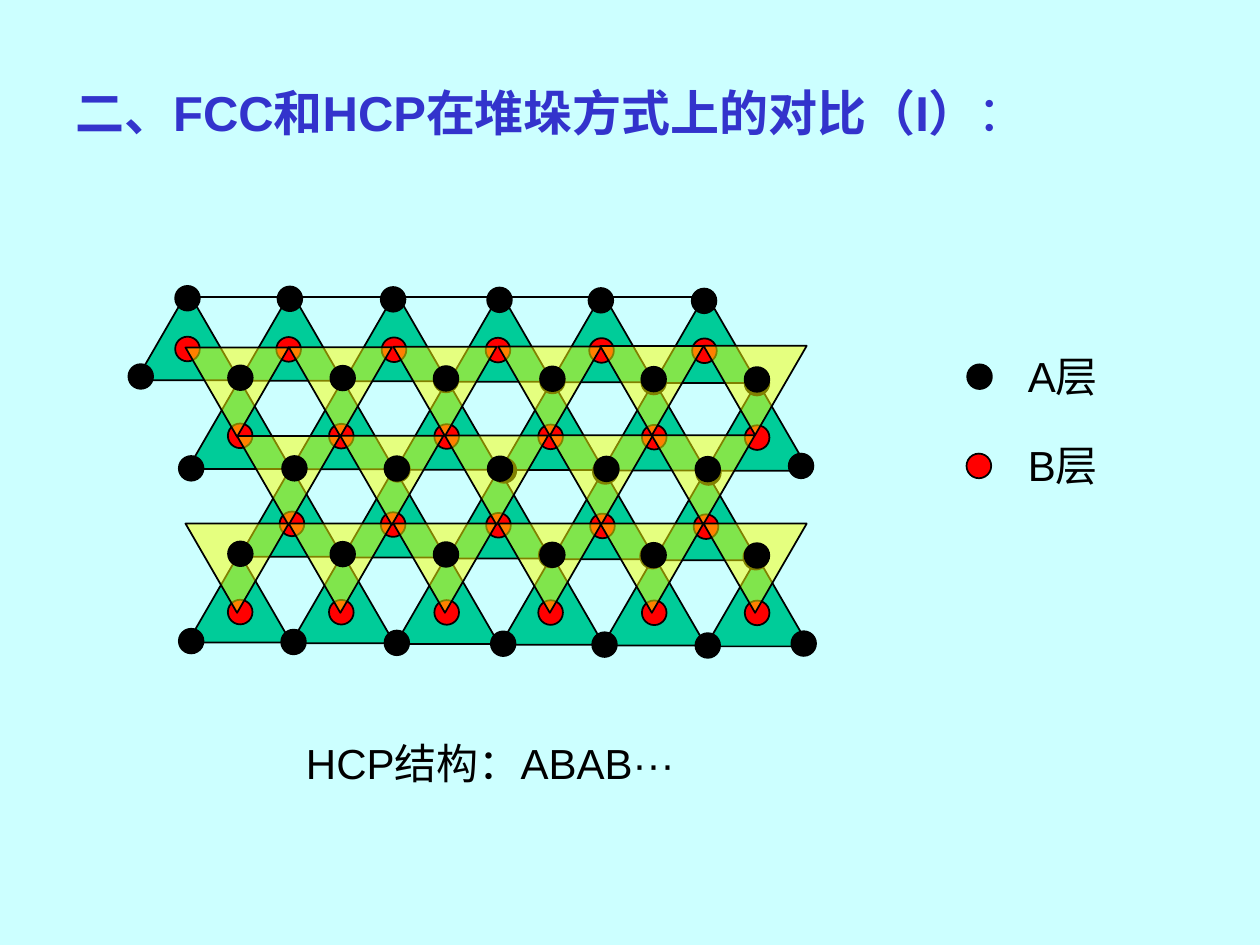
from pptx import Presentation
from pptx.dml.color import RGBColor
from pptx.enum import shapes, text
from pptx.oxml import parse_xml
from pptx.oxml.ns import nsdecls, qn
from pptx.util import Pt

BACKGROUND = RGBColor(0xCC, 0xFF, 0xFF)
BLACK = RGBColor(0, 0, 0)
RED = RGBColor(0xFF, 0, 0)
GREEN = RGBColor(0, 0xCC, 0x99)
YELLOW = RGBColor(0xFF, 0xFF, 0)
TITLE_BLUE = RGBColor(0x33, 0x33, 0xCC)

ATOM = 14.1
TRIANGLE_W, TRIANGLE_H = 59, 51

# Distance of each column from the left end of its row
TRIANGLE_COLUMNS = [0, 59, 118.8, 178.7, 237, 296]
A_COLUMNS = [0, 58.5, 117.5, 178.3, 236.2, 295.2]
B_COLUMNS = [0, 57.8, 118, 177.4, 236.6, 295.4]

# Each row: left, top, first column, end column, fall from one column to the next
GREEN_ROWS = [(77.8, 166.3, 0, 6, 0.3), (107.3, 217, 0, 6, 0.2),
              (136.8, 267.1, 0, 5, 0.5), (107.3, 316.1, 0, 6, 0.45)]
LOWER_A_ROWS = [(100.1, 163.4, 0, 6, 0.3), (73.4, 208.1, 0, 1, 0),
                (130.3, 208.9, 2, 6, 0.6), (102.2, 260.6, 0, 1, 0),
                (102.6, 260, 2, 6, 0.6), (450.7, 259.2, 0, 1, 0),
                (129.6, 308.4, 3, 6, 0.6),
                (102.2, 359.3, 0, 6, 0.5), (452.2, 360.7, 0, 1, 0)]
B_ROWS = [(100.1, 192.4, 0, 6, 0.2), (130.2, 242, 0, 6, 0.2),
          (159.8, 292.3, 0, 5, 0.4), (130.2, 342.7, 0, 6, 0.1)]
YELLOW_ROWS = [(106, 198.6, 0, 6, -0.2), (135.4, 249.1, 0, 5, -0.1),
               (106, 299.2, 0, 6, 0)]
UPPER_A_ROWS = [(130.3, 208.8, 0, 6, 0.2), (161.2, 260.6, 0, 5, 0.1),
                (130.3, 309.4, 0, 6, 0.2)]


def add_outlined(slide, kind, left, top, width, height, color):
    """Add a filled preset shape with a thin black outline."""
    shape = slide.shapes.add_shape(kind, Pt(left), Pt(top), Pt(width), Pt(height))
    shape.shadow.inherit = False
    shape.fill.solid()
    shape.fill.fore_color.rgb = color
    shape.line.color.rgb = BLACK
    shape.line.width = Pt(1)
    return shape


def add_atom(slide, left, top, color):
    """Add one round atom."""
    add_outlined(slide, shapes.MSO_SHAPE.OVAL, left, top, ATOM, ATOM, color)


def add_upright(slide, left, top, color):
    """Add one triangle that points up."""
    return add_outlined(slide, shapes.MSO_SHAPE.ISOSCELES_TRIANGLE,
                        left, top, TRIANGLE_W, TRIANGLE_H, color)


def add_inverted(slide, left, top, color):
    """Add one half-transparent triangle that points down."""
    triangle = add_upright(slide, left, top, color)
    properties = triangle._element.spPr
    properties.find(qn("a:xfrm")).set("flipV", "1")
    fill_color = properties.find(qn("a:solidFill"))[0]
    fill_color.append(parse_xml(f'<a:alpha {nsdecls("a")} val="50000"/>'))


def add_layer(slide, add_item, columns, rows, color):
    """Repeat an item along every row of a layer."""
    for left, top, first, end, fall in rows:
        for column in range(first, end):
            add_item(slide, left + columns[column], top + column * fall, color)


def add_top_edge(slide):
    """Add the line that joins the top row of atoms."""
    edge = slide.shapes.add_connector(shapes.MSO_CONNECTOR.STRAIGHT,
                                      Pt(106), Pt(169.8), Pt(400.5), Pt(169.8))
    edge.line.color.rgb = BLACK
    edge.line.width = Pt(1)
    edge._element.spPr.append(parse_xml(f'<a:effectLst {nsdecls("a")}/>'))


def add_text(slide, left, top, width, height, runs, size=24, color=BLACK):
    """Add a wrapped Arial paragraph of runs and return it."""
    frame = slide.shapes.add_textbox(Pt(left), Pt(top), Pt(width), Pt(height)).text_frame
    frame.word_wrap = True
    paragraph = frame.paragraphs[0]
    paragraph.font.name = "Arial"
    paragraph.font.size = Pt(size)
    paragraph.font.color.rgb = color
    for words, bold in runs:
        run = paragraph.add_run()
        run.text = words
        run.font.bold = bold
    return paragraph


def add_legend_entry(slide, left, top, color, label):
    """Add an atom with the name of its layer."""
    add_atom(slide, left, top, color)
    add_text(slide, 580.3, top - 11.6, 84.2, 36, [(label, False)])


def main():
    """Build the slide on the stacking of HCP layers."""
    deck = Presentation()
    deck.slide_width, deck.slide_height = Pt(720), Pt(540)
    slide = deck.slides.add_slide(deck.slide_layouts[6])
    slide.background.fill.solid()
    slide.background.fill.fore_color.rgb = BACKGROUND

    caption = add_text(slide, 166.1, 418, 228.2, 36, [("HCP结构：ABAB···", False)])
    caption.alignment = text.PP_ALIGN.CENTER
    title = add_text(slide, 36, 30.2, 635.8, 66.2,
                     [("二、FCC和HCP在堆垛方式上的对比（I）", True), ("：", False)],
                     28, TITLE_BLUE)
    title.line_spacing = 1.4

    add_layer(slide, add_upright, TRIANGLE_COLUMNS, GREEN_ROWS, GREEN)
    add_layer(slide, add_atom, A_COLUMNS, LOWER_A_ROWS, BLACK)
    add_layer(slide, add_atom, B_COLUMNS, B_ROWS, RED)
    add_layer(slide, add_inverted, TRIANGLE_COLUMNS, YELLOW_ROWS, YELLOW)
    add_top_edge(slide)
    add_layer(slide, add_atom, A_COLUMNS, UPPER_A_ROWS, BLACK)

    add_legend_entry(slide, 552.7, 208.2, BLACK, "A层")
    add_legend_entry(slide, 552.3, 259.2, RED, "B层")
    deck.save("out.pptx")


main()
